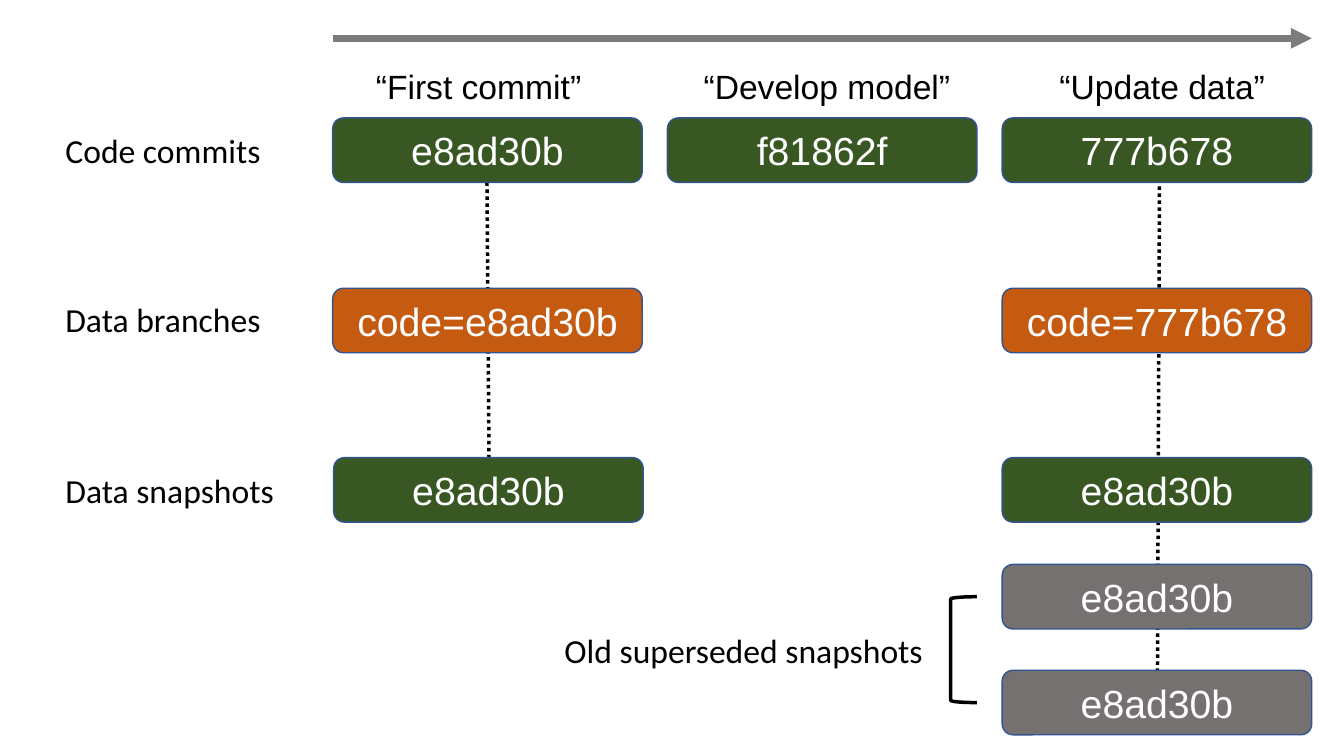
from dataclasses import dataclass
from typing import NamedTuple

from lxml import etree
from pptx import Presentation, util as u
from pptx.dml.color import RGBColor
from pptx.enum import dml, shapes, text
from pptx.oxml import ns


@dataclass(frozen=True)
class Theme:
    green: str = "385723"
    orange: str = "C55A11"
    gray: str = "767171"
    edge: str = "325491"
    time: str = "7C7C7C"
    black: str = "000000"
    white: str = "FFFFFF"
    hash_size: int = 28
    label_size: int = 24
    hash_font: str = "Arial"
    label_font: str = "Calibri"


class Node(NamedTuple):
    col: int
    row: int
    words: str
    fill: str
    shift: float = 0


class Label(NamedTuple):
    left: float
    top: float
    width: float
    words: str
    font: str


class Link(NamedTuple):
    start: tuple[float, float]
    end: tuple[float, float]
    color: str
    weight: float
    dash: object = None
    arrow: bool = False


theme = Theme()
WIDTH, HEIGHT = 3.07, 0.64
LEFT, STEP = 3.3, 3.32
ROWS = (1.17, 2.86, 4.54, 5.6, 6.65)
END = LEFT + 2 * STEP + WIDTH

deck = Presentation()
deck.slide_width, deck.slide_height = u.Inches(13.33), u.Inches(7.5)
slide = deck.slides.add_slide(deck.slide_layouts[6])


def assign(item, form: dict) -> None:
    for name, value in form.items():
        setattr(item, name, value)


def write(frame, words: str, font: str, size: int, color: str) -> None:
    run = frame.paragraphs[0].add_run()
    run.text = words
    assign(run.font, {"name": font, "size": u.Pt(size)})
    run.font.color.rgb = RGBColor.from_string(color)


def stroke(line, color: str, weight: float) -> None:
    line.color.rgb = RGBColor.from_string(color)
    line.width = u.Pt(weight)


def draw_node(node: Node) -> None:
    box = slide.shapes.add_shape(
        shapes.MSO_SHAPE.ROUNDED_RECTANGLE,
        u.Inches(LEFT + node.col * STEP + node.shift), u.Inches(ROWS[node.row]),
        u.Inches(WIDTH), u.Inches(HEIGHT))
    box.shadow.inherit = False
    box.fill.solid()
    box.fill.fore_color.rgb = RGBColor.from_string(node.fill)
    stroke(box.line, theme.edge, 1)
    box.text_frame.vertical_anchor = text.MSO_ANCHOR.MIDDLE
    box.text_frame.paragraphs[0].alignment = text.PP_ALIGN.CENTER
    write(box.text_frame, node.words, theme.hash_font, theme.hash_size, theme.white)


def draw_label(label: Label) -> None:
    box = slide.shapes.add_textbox(u.Inches(label.left), u.Inches(label.top),
                                   u.Inches(label.width), u.Inches(0.5))
    assign(box.text_frame, {"word_wrap": False,
                            "auto_size": text.MSO_AUTO_SIZE.SHAPE_TO_FIT_TEXT})
    write(box.text_frame, label.words, label.font, theme.label_size, theme.black)


def draw_link(link: Link) -> None:
    ends = [u.Inches(v) for v in link.start + link.end]
    wire = slide.shapes.add_connector(shapes.MSO_CONNECTOR.STRAIGHT, *ends)
    stroke(wire.line, link.color, link.weight)
    if link.dash is not None:
        wire.line.dash_style = link.dash
    props = wire._element.spPr
    if link.arrow:
        tip = etree.SubElement(props.find(ns.qn("a:ln")), ns.qn("a:tailEnd"))
        tip.set("type", "triangle")
    etree.SubElement(props, ns.qn("a:effectLst"))


# Timeline and dotted links, behind the nodes
DOT = dml.MSO_LINE.ROUND_DOT
links = [
    Link((11.5, 1.78), (11.48, ROWS[4]), theme.black, 2.5, DOT),
    Link((4.83, ROWS[0] + HEIGHT), (4.85, ROWS[2]), theme.black, 2.5, DOT),
    Link((LEFT, 0.38), (END, 0.38), theme.time, 5, arrow=True),
]
for link in links:
    draw_link(link)

# Commits, branches and snapshots
nodes = [
    Node(0, 0, "e8ad30b", theme.green),
    Node(1, 0, "f81862f", theme.green),
    Node(2, 0, "777b678", theme.green),
    Node(0, 1, "code=e8ad30b", theme.orange),
    Node(2, 1, "code=777b678", theme.orange),
    Node(0, 2, "e8ad30b", theme.green, 0.01),
    Node(2, 2, "e8ad30b", theme.green),
    Node(2, 3, "e8ad30b", theme.gray),
    Node(2, 4, "e8ad30b", theme.gray),
]
for node in nodes:
    draw_node(node)

# Commit messages, row names and the note on old snapshots
labels = [
    Label(3.63, 0.6, 2.26, "“First commit”", theme.hash_font),
    Label(6.88, 0.6, 2.68, "“Develop model”", theme.hash_font),
    Label(10.41, 0.6, 2.27, "“Update data”", theme.hash_font),
    Label(0.55, 1.24, 2.15, "Code commits", theme.label_font),
    Label(0.55, 2.92, 2.16, "Data branches", theme.label_font),
    Label(0.55, 4.61, 2.29, "Data snapshots", theme.label_font),
    Label(5.5, 6.2, 3.79, "Old superseded snapshots", theme.label_font),
]
for label in labels:
    draw_label(label)

# Bracket joining the middles of the old snapshots
brace = slide.shapes.add_shape(
    shapes.MSO_SHAPE.LEFT_BRACKET, u.Inches(9.43), u.Inches(ROWS[3] + HEIGHT / 2),
    u.Inches(0.26), u.Inches(ROWS[4] - ROWS[3]))
brace.shadow.inherit = False
brace.fill.background()
stroke(brace.line, theme.black, 2.5)

deck.save("out.pptx")
